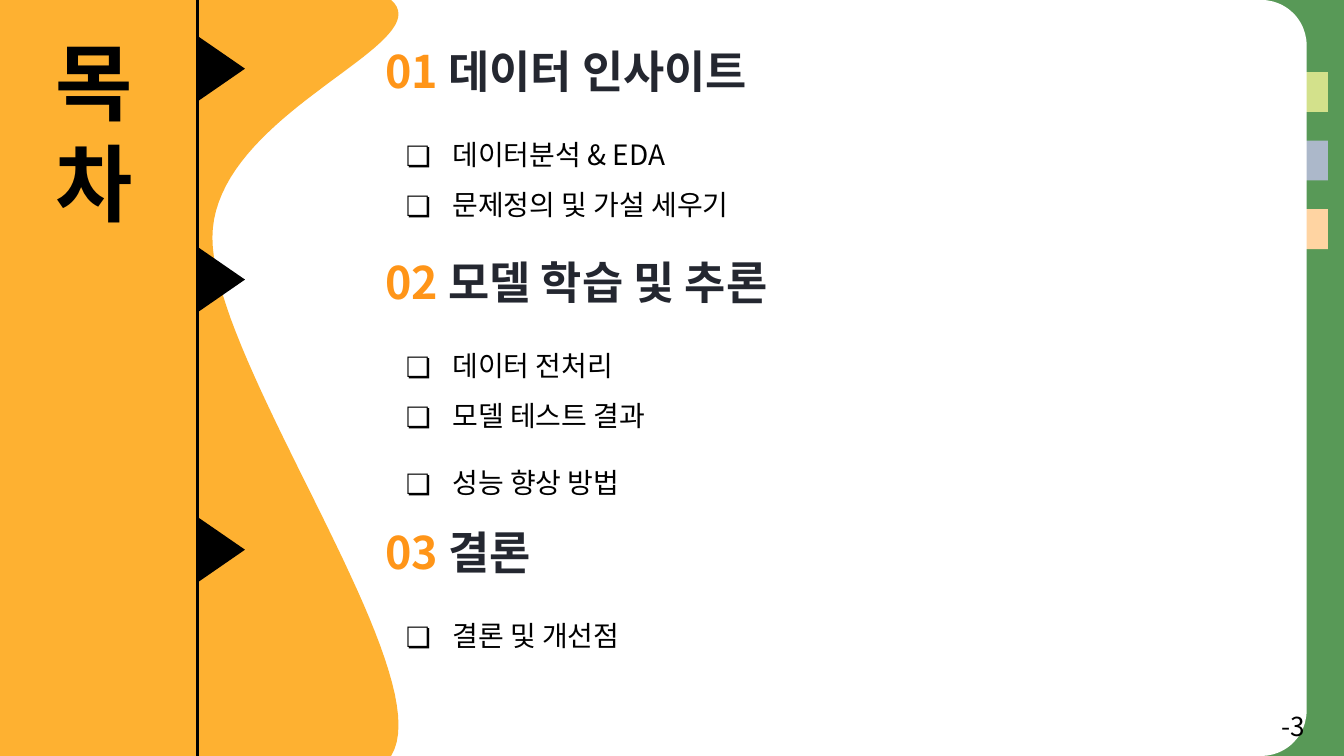
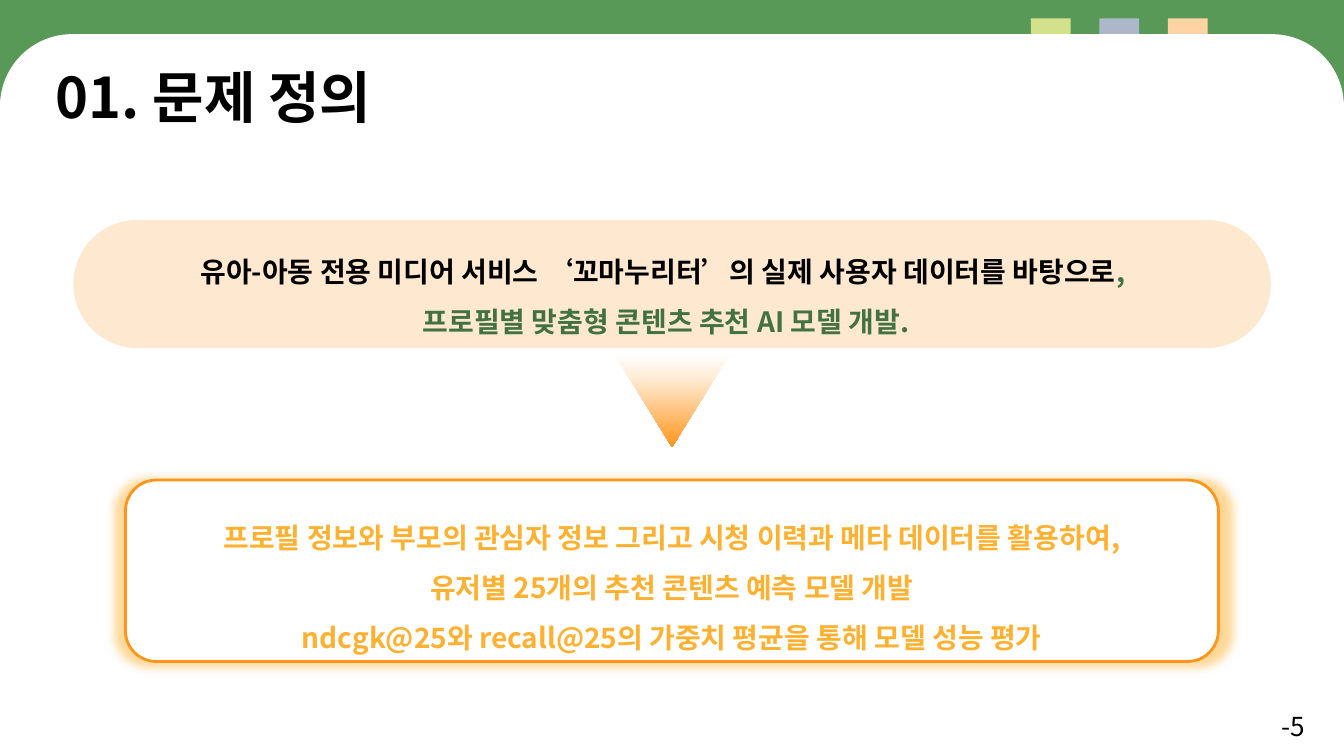
"""Build the contents slide and the problem definition slide."""
from lxml.etree import SubElement
from pptx import Presentation
from pptx.dml.color import RGBColor
from pptx.enum.shapes import MSO_CONNECTOR as Connector, MSO_SHAPE as Preset
from pptx.enum.text import MSO_ANCHOR as Anchor, MSO_AUTO_SIZE as AutoSize, PP_ALIGN as Align
from pptx.oxml import parse_xml
from pptx.oxml.ns import nsdecls, qn
from pptx.util import Pt

FONT = "Noto Sans CJK KR"
WIDTH, HEIGHT = 720, 405
BLACK = RGBColor(0x00, 0x00, 0x00)
WHITE = RGBColor(0xFF, 0xFF, 0xFF)
GREEN = RGBColor(0x58, 0x99, 0x57)
DARK_GREEN = RGBColor(0x42, 0x72, 0x41)
INK = RGBColor(0x24, 0x27, 0x30)
ORANGE = RGBColor(0xFF, 0x95, 0x18)
AMBER = RGBColor(0xFE, 0xB1, 0x31)
CREAM = RGBColor(0xFE, 0xE9, 0xD0)
TAB_COLORS = [
    RGBColor(0xD3, 0xE1, 0x8B),
    RGBColor(0xAC, 0xB8, 0xCA),
    RGBColor(0xFF, 0xD4, 0xA2),
]
TAB_STEP = 36.72
ARROW_STOPS = [
    (0, WHITE),
    (27, RGBColor(0xFF, 0xEB, 0xD4)),
    (86, RGBColor(0xFF, 0xA6, 0x3E)),
    (100, ORANGE),
]

CONTENTS_TITLE = "목차"
SECTIONS = [
    {"number": "01 ", "name": "데이터 인사이트", "top": 20.9, "height": 51,
     "items": [("데이터분석 & EDA", 1.5), ("문제정의 및 가설 세우기", 1.5)]},
    {"number": "02 ", "name": "모델 학습 및 추론", "top": 133.9, "height": 78.5,
     "items": [("데이터 전처리", 1.5), ("모델 테스트 결과", 1.5), ("성능 향상 방법", 2.0)]},
    {"number": "03 ", "name": "결론", "top": 278.6, "height": 24,
     "items": [("결론 및 개선점", 1.5)]},
]
WAVE_START = (209.5, 0)
WAVE_CURVES = [
    [(236.9, 23.8), (113.8, 60.5), (113.8, 127.4)],
    [(113.8, 195.1), (236.9, 361.4), (209.5, 405)],
]

PROBLEM_TITLE = "01. 문제 정의"
PROBLEM = [
    [("유아-아동 전용 미디어 서비스 ‘꼬마누리터’의 실제 사용자 데이터를 바탕으로", BLACK),
     (", ", DARK_GREEN)],
    [("프로필별 맞춤형 콘텐츠 추천 AI 모델 개발.", DARK_GREEN)],
]
GOALS = [
    "프로필 정보와 부모의 관심자 정보 그리고 시청 이력과 메타 데이터를 활용하여,",
    "유저별 25개의 추천 콘텐츠 예측 모델 개발",
    "ndcgk@25와 recall@25의 가중치 평균을 통해 모델 성능 평가",
]


def points(*values):
    """Turn numbers into point lengths."""
    return [Pt(value) for value in values]


def write(shape, lines, size=15, bold=False, align=Align.LEFT, spacings=(), bullet=None,
          insets=(5.4, 2.7)):
    """Fill a shape with lines, each a list of (text, color) runs."""
    frame = shape.text_frame
    frame.word_wrap = True
    frame.auto_size = AutoSize.SHAPE_TO_FIT_TEXT
    frame.vertical_anchor = Anchor.TOP
    frame.margin_left = frame.margin_right = Pt(insets[0])
    frame.margin_top = frame.margin_bottom = Pt(insets[1])
    for index, runs in enumerate(lines):
        paragraph = frame.add_paragraph() if index else frame.paragraphs[0]
        paragraph.alignment = align
        paragraph.space_before = paragraph.space_after = Pt(0)
        paragraph.line_spacing = spacings[index] if spacings else 1.0
        if bullet:
            add_bullet(paragraph, bullet)
        for text, color in runs:
            run = paragraph.add_run()
            run.text = text
            font = run.font
            font.name, font.size, font.bold = FONT, Pt(size), bold
            font.color.rgb = color
            SubElement(font._element, qn("a:ea")).set("typeface", FONT)
    return shape


def add_bullet(paragraph, character):
    """Give a paragraph a black hanging bullet."""
    properties = paragraph._p.get_or_add_pPr()
    properties.set("marL", str(Pt(36)))
    properties.set("indent", str(Pt(-25)))
    color = SubElement(properties, qn("a:buClr"))
    SubElement(color, qn("a:srgbClr")).set("val", str(BLACK))
    SubElement(properties, qn("a:buFont")).set("typeface", FONT)
    SubElement(properties, qn("a:buChar")).set("char", character)


def add_text(slide, box, lines, **text_format):
    """Add a text box."""
    return write(slide.shapes.add_textbox(*points(*box)), lines, **text_format)


def fill_placeholder(slide, shape, box, lines, **text_format):
    """Bring a placeholder to the front, place it and write in it."""
    slide.shapes.element.append(shape.element)
    shape.left, shape.top, shape.width, shape.height = points(*box)
    return write(shape, lines, **text_format)


def add_block(slide, preset, box, color, rotation=0, corners=()):
    """Add a plain filled shape."""
    shape = slide.shapes.add_shape(preset, *points(*box))
    shape.shadow.inherit = False
    shape.fill.solid()
    shape.fill.fore_color.rgb = color
    shape.line.fill.background()
    shape.rotation = rotation
    for index, corner in enumerate(corners):
        shape.adjustments[index] = corner
    return shape


def start_slide(presentation, layout, tab_boxes, panel, number):
    """Add a slide with its green ground, tabs, white panel and number."""
    slide = presentation.slides.add_slide(presentation.slide_layouts.get_by_name(layout))
    slide.background.fill.solid()
    slide.background.fill.fore_color.rgb = GREEN
    for box, color in zip(tab_boxes, TAB_COLORS):
        add_block(slide, Preset.RECTANGLE, box, color)
    add_block(slide, Preset.ROUND_2_SAME_RECTANGLE, color=WHITE, **panel)
    add_text(slide, (672.5, 373.5, 41, 31.5), [[(number, BLACK)]], size=14,
             align=Align.CENTER, insets=(7.2, 7.2))
    return slide


def wave_points(steps=40):
    """Sample the curved edge of the wave."""
    start = WAVE_START
    for first, second, end in WAVE_CURVES:
        for step in range(1, steps + 1):
            t = step / steps
            weights = ((1 - t) ** 3, 3 * t * (1 - t) ** 2, 3 * t * t * (1 - t), t ** 3)
            yield tuple(
                Pt(sum(weight * point[axis] for weight, point
                       in zip(weights, (start, first, second, end))))
                for axis in (0, 1))
        start = end


def add_wave(slide):
    """Add the amber wave on the left."""
    builder = slide.shapes.build_freeform(0, 0)
    builder.add_line_segments(
        [tuple(points(*WAVE_START)), *wave_points(), (0, Pt(HEIGHT))], close=True)
    wave = builder.convert_to_shape()
    wave.shadow.inherit = False
    wave.fill.solid()
    wave.fill.fore_color.rgb = AMBER
    wave.line.fill.background()


def build_contents(presentation):
    """Build the table of contents."""
    tabs = [(690, 38.6 + index * TAB_STEP, 21.4, 21.4) for index in range(3)]
    panel_width = 700
    panel = {"box": ((panel_width - HEIGHT) / 2, (HEIGHT - panel_width) / 2, HEIGHT, panel_width),
             "rotation": 90, "corners": (0.06, 0)}
    slide = start_slide(presentation, "Comparison", tabs, panel, "-3")
    title, *bodies = list(slide.placeholders)
    add_wave(slide)
    fill_placeholder(slide, title, (24.5, 13.5, 92, 114.5), [[(CONTENTS_TITLE, BLACK)]],
                     size=45, bold=True)
    spine = slide.shapes.add_connector(Connector.STRAIGHT, *points(105.8, 0, 105.8, HEIGHT))
    spine.line.color.rgb = BLACK
    spine.line.width = Pt(1.5)
    SubElement(spine.element.spPr, qn("a:effectLst"))
    for section, body in zip(SECTIONS, bodies):
        top = section["top"]
        add_block(slide, Preset.ISOSCELES_TRIANGLE, (101.5, top + 3.4, 34.5, 25), BLACK,
                  rotation=90)
        add_text(slide, (201, top, 443, 34.5),
                 [[(section["number"], ORANGE), (section["name"], INK)]], size=24, bold=True)
        fill_placeholder(slide, body, (201, top + 41, 335, section["height"]),
                         [[(item, BLACK)] for item, spacing in section["items"]],
                         spacings=[spacing for item, spacing in section["items"]], bullet="❏")
    for body in bodies[len(SECTIONS):]:
        slide.shapes.element.remove(body.element)


def add_gradient_arrow(slide, box):
    """Add the down arrow that fades from white to orange."""
    arrow = add_block(slide, Preset.ISOSCELES_TRIANGLE, box, ORANGE, rotation=180)
    stops = "".join(
        f'<a:gs pos="{position * 1000}"><a:srgbClr val="{color}"/></a:gs>'
        for position, color in ARROW_STOPS)
    properties = arrow.element.spPr
    properties.replace(properties.find(qn("a:solidFill")), parse_xml(
        f'<a:gradFill {nsdecls("a")} rotWithShape="1"><a:gsLst>{stops}</a:gsLst>'
        '<a:lin ang="16200000" scaled="0"/></a:gradFill>'))


def add_glowing_frame(slide, box):
    """Add the outlined frame with an amber glow."""
    frame = add_block(slide, Preset.ROUNDED_RECTANGLE, box, WHITE, corners=(0.17,))
    frame.line.color.rgb = ORANGE
    frame.line.width = Pt(1.5)
    effects = frame.element.spPr.find(qn("a:effectLst"))
    effects.append(parse_xml(
        f'<a:outerShdw {nsdecls("a")} blurRad="{Pt(5)}" dist="0" sx="102000" sy="102000" '
        f'algn="ctr" rotWithShape="0"><a:srgbClr val="{AMBER}"><a:alpha val="49000"/>'
        '</a:srgbClr></a:outerShdw>'))


def build_problem(presentation):
    """Build the problem definition."""
    tabs = [(552.2 + index * TAB_STEP, 9.8, 21.4, 21) for index in range(3)]
    panel = {"box": (0, 18.3, WIDTH, HEIGHT - 18.3), "corners": (0.1, 0)}
    slide = start_slide(presentation, "Title Only", tabs, panel, "-5")
    fill_placeholder(slide, slide.shapes.title, (24.5, 31, 294, 41.5),
                     [[(PROBLEM_TITLE, BLACK)]], size=30, bold=True)
    add_block(slide, Preset.ROUNDED_RECTANGLE, (39.3, 117.8, 641.5, 68.7), CREAM, corners=(0.5,))
    statement = {"bold": True, "align": Align.CENTER, "spacings": (1.5,) * 3}
    add_text(slide, (64, 124.5, 585.5, 51), PROBLEM, **statement)
    add_gradient_arrow(slide, (329, 189.5, 62, 50))
    add_glowing_frame(slide, (67.2, 257.2, 585.5, 97.2))
    add_text(slide, (67.2, 267, 585.5, 78.5), [[(goal, AMBER)] for goal in GOALS], **statement)


def main():
    """Build and save the presentation."""
    presentation = Presentation()
    presentation.slide_width, presentation.slide_height = points(WIDTH, HEIGHT)
    build_contents(presentation)
    build_problem(presentation)
    presentation.save("out.pptx")


if __name__ == "__main__":
    main()
